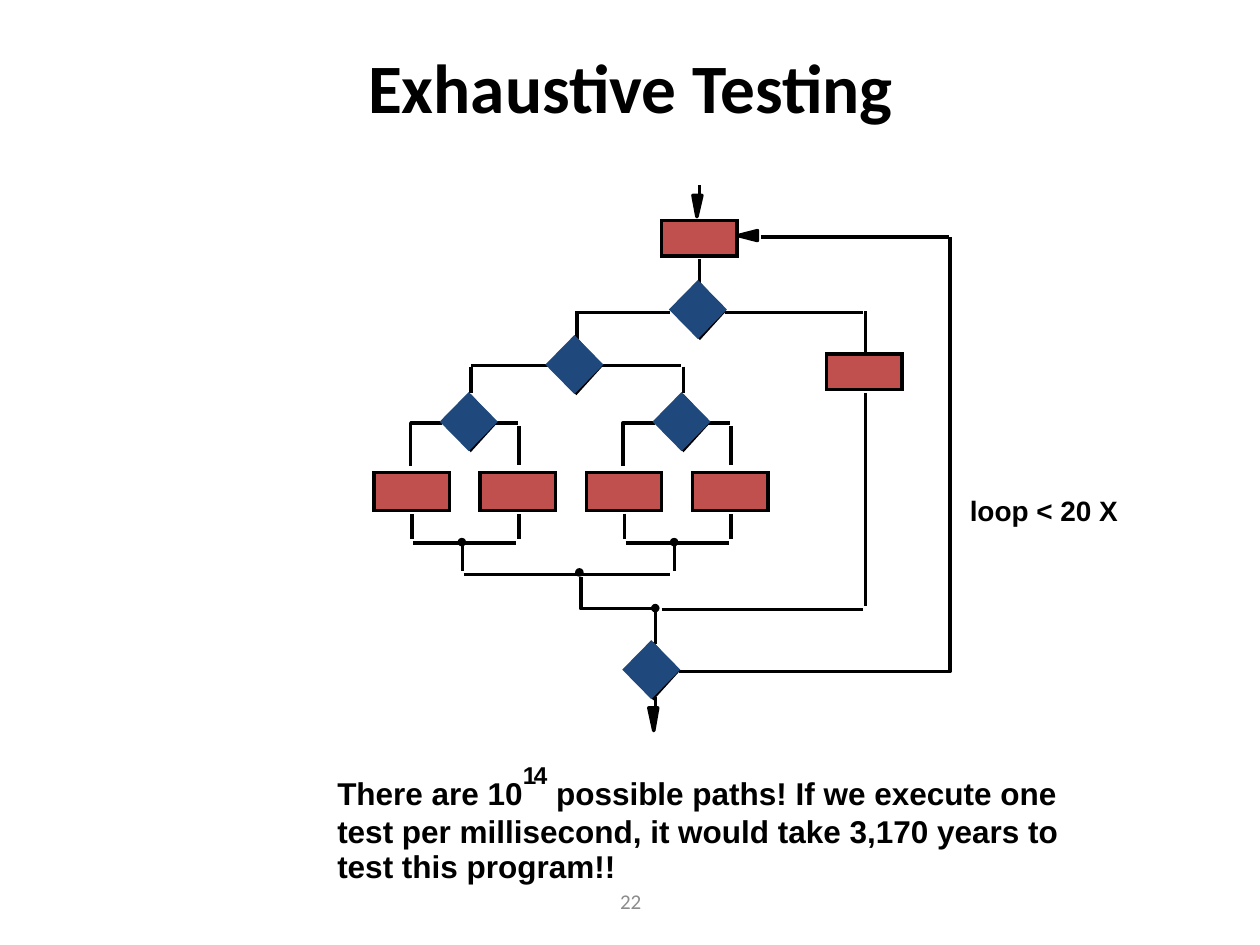
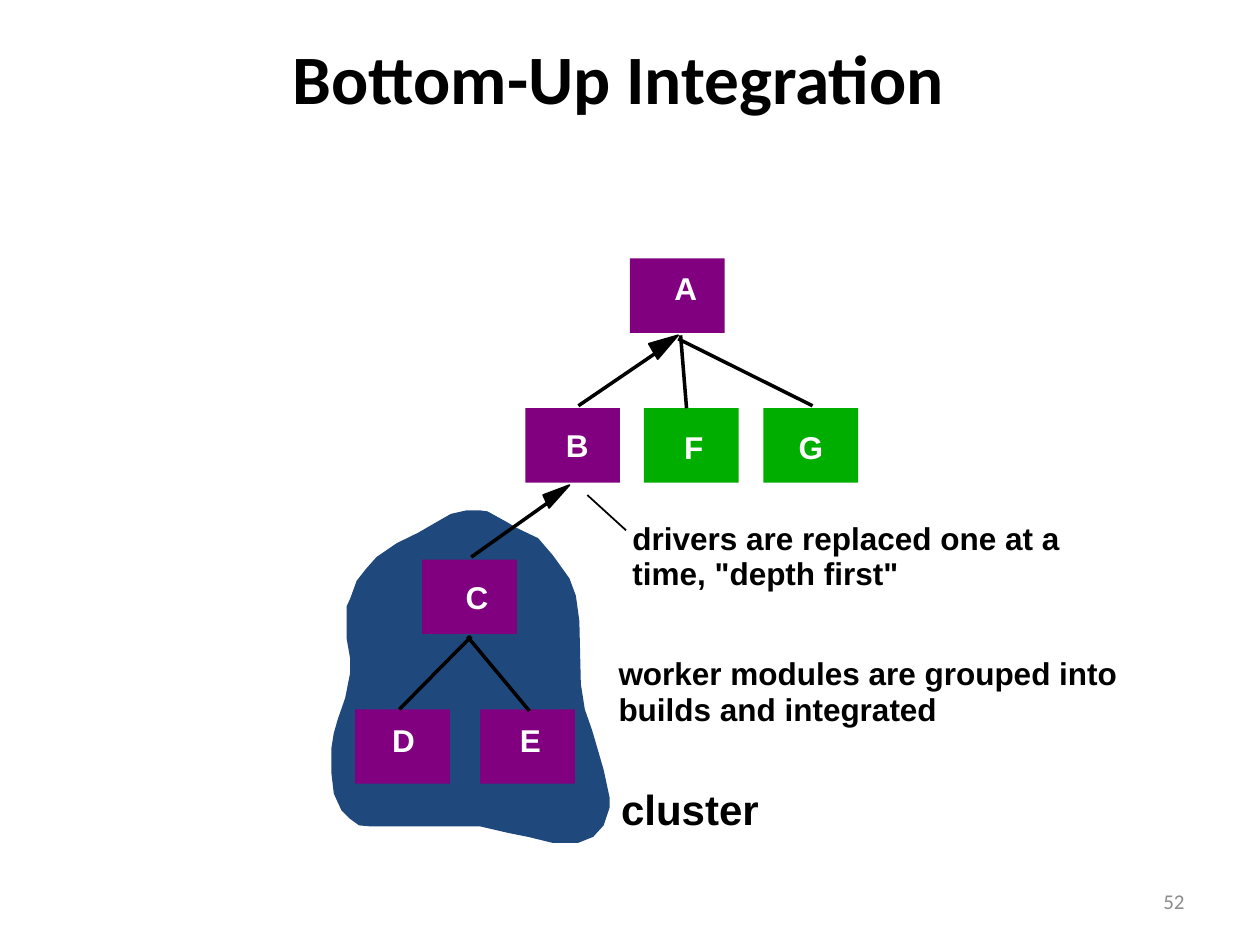
from lxml.etree import SubElement
from pptx import Presentation
from pptx.dml.color import RGBColor
from pptx.enum.shapes import MSO_CONNECTOR, MSO_SHAPE
from pptx.enum.text import MSO_ANCHOR, PP_ALIGN
from pptx.oxml.ns import qn
from pptx.util import Cm, Pt

BLACK = RGBColor(0x00, 0x00, 0x00)
WHITE = RGBColor(0xFF, 0xFF, 0xFF)
GRAY = RGBColor(0x8C, 0x8C, 0x8C)
RED = RGBColor(0xC0, 0x50, 0x4D)
NAVY = RGBColor(0x1F, 0x49, 0x7D)
PURPLE = RGBColor(0x80, 0x00, 0x80)
GREEN = RGBColor(0x00, 0xAE, 0x00)

FLOW_TITLE = ("Exhaustive Testing", (4.04, 1.07, 17.35, 1.32))
FLOW_NUMBER = ("22", (8.69, 17.65, 8.05, 1.02), PP_ALIGN.CENTER)
FLOW_TEXTS = [
    ((19.3, 9.83, 3.51, 0.91), 16, ["loop < 20 X"]),
    ((6.55, 15.57, 16.5, 2.44), 18, [
        "There are 10^14^ possible paths! If we execute one",
        "test per millisecond, it would take 3,170 years to",
        "test this program!!",
    ]),
]
FLOW_LINES = [
    [(14.1, 3.73), (14.1, 4.01)],
    [(15.34, 4.78), (19.13, 4.78)],
    [(14.1, 5.23), (14.1, 5.72)],
    [(13.51, 6.3), (11.63, 6.3)],
    [(14.61, 6.3), (17.4, 6.3)],
    [(11.63, 6.83), (11.63, 6.27)],
    [(17.45, 7.11), (17.45, 6.27)],
    [(11.15, 7.37), (9.5, 7.37)],
    [(12.14, 7.37), (13.72, 7.37)],
    [(9.35, 11.58), (13.51, 11.58)],
    [(11.71, 11.63), (11.71, 12.27), (13.18, 12.27)],
    [(17.45, 7.92), (17.45, 12.22)],
    [(13.34, 12.29), (17.4, 12.29)],
    [(13.21, 12.98), (13.21, 12.27)],
    [(13.69, 13.54), (19.15, 13.54), (19.15, 4.78)],
    [(13.21, 14.05), (13.21, 14.4)],
]
BRANCH_LINES = [
    [(9.5, 7.39), (9.5, 7.92)],
    [(8.92, 8.53), (8.28, 8.53), (8.28, 9.4)],
    [(9.96, 8.53), (10.44, 8.53)],
    [(10.46, 8.59), (10.46, 9.37)],
    [(8.31, 10.36), (8.31, 10.87)],
    [(10.46, 10.36), (10.46, 10.87)],
    [(8.33, 10.95), (10.41, 10.95)],
    [(9.32, 10.95), (9.32, 11.51)],
]
BRANCH_STEPS = [(7.54, 9.53), (9.68, 9.53)]
BRANCH_DOT = (9.31, 10.93)
BRANCH_SHIFTS = (0, 4.28)
FLOW_STEPS = [(13.34, 4.45), (16.66, 7.14)]
FLOW_DOTS = [(11.68, 11.54), (13.21, 12.26)]
FLOW_HEADS = [
    [(14.05, 4.37), (13.97, 3.94), (14.15, 3.94)],
    [(14.88, 4.75), (15.27, 4.65), (15.27, 4.85)],
    [(13.18, 14.73), (13.08, 14.27), (13.26, 14.27)],
]
DECISIONS = [(14.07, 6.24), (11.58, 7.35), (9.45, 8.5), (13.74, 8.5), (13.13, 13.5)]

TREE_TITLE = ("Bottom-Up Integration", (4.62, 0.84, 15.7, 1.4))
TREE_NUMBER = ("52", (18.21, 17.65, 5.92, 1.02), PP_ALIGN.RIGHT)
TREE_TEXTS = [
    ((12.5, 10.38, 9.3, 1.72), 18, ["drivers are replaced one at a", 'time, "depth first"']),
    ((12.22, 13.11, 10.74, 1.72), 18, ["worker modules are grouped into", "builds and integrated"]),
    ((12.27, 15.67, 3.28, 1.27), 24, ["cluster"]),
]
MODULES = [
    ("A", (12.7, 5.21), (0.17, -0.15), PURPLE),
    ("B", (10.59, 8.23), (0.09, -0.01), PURPLE),
    ("C", (8.51, 11.28), (0.15, 0.01), PURPLE),
    ("D", (7.16, 14.3), (0.02, -0.13), PURPLE),
    ("E", (9.68, 14.3), (0.06, -0.13), PURPLE),
    ("F", (12.98, 8.23), (0.05, 0.04), GREEN),
    ("G", (15.39, 8.23), (0, 0.04), GREEN),
]
TREE_LINES = [
    [(13.23, 7.11), (11.66, 8.18)],
    [(11.05, 10.13), (9.5, 11.23)],
    [(9.5, 12.83), (8.05, 14.3)],
    [(9.42, 12.83), (10.67, 14.33)],
    [(13.72, 6.76), (13.84, 8.23)],
    [(13.67, 6.83), (16.38, 8.18)],
]
CALLOUT_LINE = [(11.84, 9.98), (12.62, 10.69)]
TREE_HEADS = [
    [(13.67, 6.76), (13.26, 7.24), (13.08, 6.93)],
    [(11.48, 9.78), (11.07, 10.24), (10.95, 9.98)],
]
CLUSTER_OUTLINE = [
    (10.85, 10.85), (10.41, 10.64), (10.21, 10.52), (10.01, 10.41), (9.83, 10.31),
    (9.68, 10.29), (9.4, 10.29), (9.09, 10.36), (8.81, 10.52), (8.43, 10.74),
    (8, 10.95), (7.59, 11.23), (7.37, 11.48), (7.19, 11.71), (7.06, 12.07),
    (6.99, 12.22), (6.99, 12.88), (7.06, 13.28), (7.06, 13.56), (6.96, 14.07),
    (6.81, 14.5), (6.73, 14.78), (6.68, 15.09), (6.68, 15.57), (6.73, 16),
    (6.88, 16.33), (7.06, 16.51), (7.24, 16.64), (7.47, 16.66), (9.68, 16.66),
    (10.24, 16.79), (10.64, 16.87), (11.13, 16.99), (11.66, 16.99), (11.96, 16.87),
    (12.17, 16.64), (12.29, 16.28), (12.29, 16.08), (12.17, 15.52), (11.94, 14.73),
    (11.79, 14.3), (11.71, 13.79), (11.68, 12.52), (11.61, 12.01), (11.48, 11.66),
    (11.15, 11.2),
]


def style_shape(shape, fill=None, line_width=None):
    shape.shadow.inherit = False
    if fill is None:
        shape.fill.background()
    else:
        shape.fill.solid()
        shape.fill.fore_color.rgb = fill
    if line_width is None:
        shape.line.fill.background()
    else:
        shape.line.color.rgb = BLACK
        shape.line.width = Pt(line_width)


def add_box(slide, kind, box, fill=None, line_width=None):
    shape = slide.shapes.add_shape(kind, *map(Cm, box))
    style_shape(shape, fill, line_width)
    if line_width is not None:
        SubElement(shape._element.spPr.find(qn("a:ln")), qn("a:miter"), lim="800000")
    return shape


def add_centered(slide, kind, center, size, fill=None, line_width=None):
    corner = [middle - length / 2 for middle, length in zip(center, size)]
    add_box(slide, kind, (*corner, *size), fill, line_width)


def add_outline(slide, points, closed, fill=None, line_width=None):
    start, *others = [(Cm(x), Cm(y)) for x, y in points]
    builder = slide.shapes.build_freeform(*start)
    builder.add_line_segments(others, close=closed)
    style_shape(builder.convert_to_shape(), fill, line_width)


def add_line(slide, points, width=2):
    if len(points) > 2:
        add_outline(slide, points, False, line_width=width)
        return
    (x1, y1), (x2, y2) = points
    connector = slide.shapes.add_connector(
        MSO_CONNECTOR.STRAIGHT, Cm(x1), Cm(y1), Cm(x2), Cm(y2))
    connector.line.color.rgb = BLACK
    connector.line.width = Pt(width)
    SubElement(connector._element.spPr, qn("a:effectLst"))


def format_run(run, size, color=BLACK, font="Arial", bold=True):
    run.font.name = font
    run.font.size = Pt(size)
    run.font.bold = bold
    run.font.color.rgb = color


def add_text(slide, box, size, lines):
    text_frame = slide.shapes.add_textbox(*map(Cm, box)).text_frame
    text_frame.word_wrap = False
    for index, line in enumerate(lines):
        paragraph = text_frame.add_paragraph() if index else text_frame.paragraphs[0]
        if len(lines) > 1:
            paragraph.line_spacing = Pt(20.25)
        for position, part in enumerate(line.split("^")):
            run = paragraph.add_run()
            run.text = part
            raised = position % 2 == 1
            format_run(run, 24 if raised else size)
            if raised:
                properties = run._r.get_or_add_rPr()
                properties.set("baseline", "50000")
                properties.set("spc", "-150")


def add_heading(slide, text, box, align, size, color, bold):
    text_frame = slide.shapes.add_textbox(*map(Cm, box)).text_frame
    text_frame.word_wrap = True
    text_frame.vertical_anchor = MSO_ANCHOR.MIDDLE
    text_frame.text = text
    paragraph = text_frame.paragraphs[0]
    paragraph.alignment = align
    format_run(paragraph.runs[0], size, color, "Calibri", bold)


def start_slide(presentation, title, number):
    slide = presentation.slides.add_slide(presentation.slide_layouts[6])
    add_heading(slide, *title, PP_ALIGN.CENTER, 39.6, BLACK, True)
    add_heading(slide, *number, 12, GRAY, False)
    return slide


def build_flow_slide(presentation):
    slide = start_slide(presentation, FLOW_TITLE, FLOW_NUMBER)
    lines, dots = list(FLOW_LINES), list(FLOW_DOTS)
    steps = [(x, y, 1.52, 0.71) for x, y in FLOW_STEPS]
    for shift in BRANCH_SHIFTS:
        lines += [[(x + shift, y) for x, y in line] for line in BRANCH_LINES]
        steps += [(x + shift, y, 1.52, 0.76) for x, y in BRANCH_STEPS]
        dots.append((BRANCH_DOT[0] + shift, BRANCH_DOT[1]))
    for line in lines:
        add_line(slide, line)
    for head in FLOW_HEADS:
        add_outline(slide, head, True, BLACK, 2)
    for step in steps:
        add_box(slide, MSO_SHAPE.RECTANGLE, step, RED, 2)
    for dot in dots:
        add_centered(slide, MSO_SHAPE.OVAL, dot, (0.1, 0.1), BLACK, 2)
    for x, y in DECISIONS:
        add_centered(slide, MSO_SHAPE.DIAMOND, (x + 0.04, y + 0.03), (0.97, 1.07), line_width=2)
        add_centered(slide, MSO_SHAPE.DIAMOND, (x, y), (1.17, 1.19), NAVY)
    for text in FLOW_TEXTS:
        add_text(slide, *text)


def add_module(slide, name, corner, nudge, color):
    shape = add_box(slide, MSO_SHAPE.RECTANGLE, (*corner, 1.91, 1.5), color)
    right, down = nudge
    text_frame = shape.text_frame
    text_frame.margin_left, text_frame.margin_right = Cm(0.4 + right), Cm(0.4 - right)
    text_frame.margin_top, text_frame.margin_bottom = Cm(0.2 + down), Cm(0.2 - down)
    text_frame.vertical_anchor = MSO_ANCHOR.MIDDLE
    text_frame.text = name
    paragraph = text_frame.paragraphs[0]
    paragraph.alignment = PP_ALIGN.CENTER
    format_run(paragraph.runs[0], 18, WHITE)


def build_tree_slide(presentation):
    slide = start_slide(presentation, TREE_TITLE, TREE_NUMBER)
    add_outline(slide, CLUSTER_OUTLINE, True, NAVY)
    for module in MODULES:
        add_module(slide, *module)
    for head in TREE_HEADS:
        add_outline(slide, head, True, BLACK, 1)
    for line in TREE_LINES:
        add_line(slide, line)
    add_line(slide, CALLOUT_LINE, 1)
    for text in TREE_TEXTS:
        add_text(slide, *text)


def main():
    presentation = Presentation()
    presentation.slide_width = Cm(25.4)
    presentation.slide_height = Cm(19.05)
    build_flow_slide(presentation)
    build_tree_slide(presentation)
    presentation.save("out.pptx")


if __name__ == "__main__":
    main()
